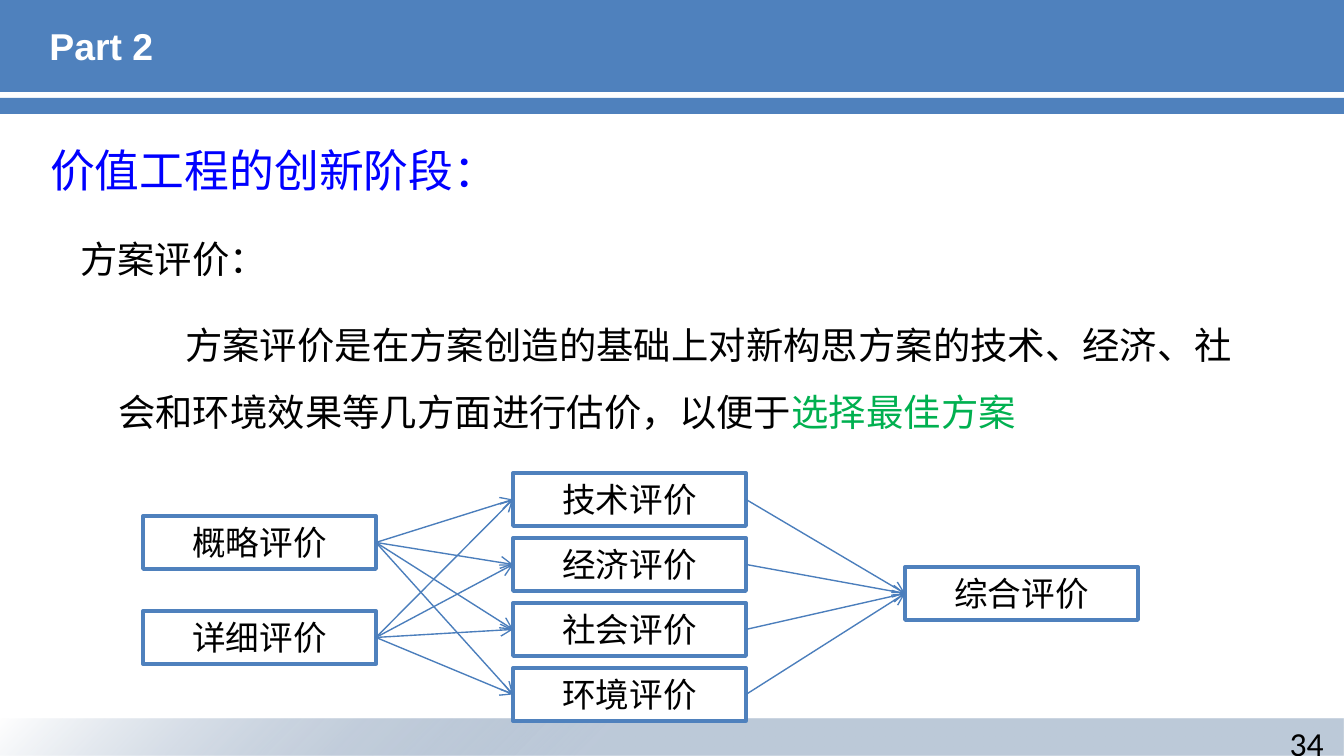
import itertools

import lxml.etree
import pptx
import pptx.dml.color
import pptx.enum.shapes
import pptx.enum.text
import pptx.oxml
import pptx.oxml.ns
import pptx.util

RGBColor = pptx.dml.color.RGBColor
Align = pptx.enum.text.PP_ALIGN
Anchor = pptx.enum.text.MSO_ANCHOR

BLUE = RGBColor(0x4F, 0x81, 0xBD)
ARROW_BLUE = RGBColor(0x4B, 0x7E, 0xBC)
NAVY = RGBColor(0x1F, 0x49, 0x7D)
HEADING_BLUE = RGBColor(0x00, 0x00, 0xFF)
GREEN = RGBColor(0x00, 0xB0, 0x50)
WHITE = RGBColor(0xFF, 0xFF, 0xFF)
BLACK = RGBColor(0x00, 0x00, 0x00)

CJK = "Noto Sans CJK SC"
EMU_PER_PX = 914400 / 134.4
LEFT_SITE, RIGHT_SITE = 1, 3
BOX_WIDTH, BOX_HEIGHT = 233, 53


def px(*lengths):
    return [pptx.util.Emu(round(length * EMU_PER_PX)) for length in lengths]


def write(paragraph, text, size=20, font=CJK, color=BLACK, bold=False, align=None):
    run = paragraph.add_run()
    run.text = text
    run.font.size = pptx.util.Pt(size)
    run.font.name = font
    run.font.bold = bold
    run.font.color.rgb = color
    east_asian = lxml.etree.SubElement(run.font._element, pptx.oxml.ns.qn("a:ea"))
    east_asian.set("typeface", CJK)
    if align is not None:
        paragraph.alignment = align


class SlideBuilder:
    """Holds the diagram style and the slide being built."""

    def __init__(self, slide, line_color=BLUE, line_width=2, arrow_width=0.75):
        self.slide = slide
        self.line_color = line_color
        self.line_width = line_width
        self.arrow_width = arrow_width

    def band(self, left, top, width, height, color=BLUE):
        shape = self.slide.shapes.add_shape(
            pptx.enum.shapes.MSO_SHAPE.RECTANGLE, *px(left, top, width, height))
        shape.shadow.inherit = False
        shape.fill.solid()
        shape.fill.fore_color.rgb = color
        shape.line.fill.background()
        return shape

    def fading_band(self, left, top, width, height):
        shape = self.band(left, top, width, height)
        stops = "".join(
            f'<a:gs pos="{position}000"><a:srgbClr val="{color}">'
            f'<a:alpha val="{alpha}000"/></a:srgbClr></a:gs>'
            for position, color, alpha in ((55, NAVY, 29), (100, WHITE, 69)))
        gradient = pptx.oxml.parse_xml(
            f'<a:gradFill {pptx.oxml.ns.nsdecls("a")} rotWithShape="1">'
            f'<a:gsLst>{stops}</a:gsLst><a:path path="circle">'
            '<a:fillToRect l="100000" t="100000"/></a:path></a:gradFill>')
        solid = shape.element.spPr.find(pptx.oxml.ns.qn("a:solidFill"))
        solid.getparent().replace(solid, gradient)

    def title(self, text, left, top, width, height):
        shape = self.slide.shapes.title
        shape.left, shape.top, shape.width, shape.height = px(left, top, width, height)
        shape.element.getparent().append(shape.element)
        shape.text_frame.auto_size = pptx.enum.text.MSO_AUTO_SIZE.NONE
        shape.text_frame.vertical_anchor = Anchor.MIDDLE
        write(shape.text_frame.paragraphs[0], text, font="Arial",
              color=WHITE, bold=True, align=Align.LEFT)

    def text(self, text, left, top, width, height, wrap=True, **style):
        shape = self.slide.shapes.add_textbox(*px(left, top, width, height))
        shape.text_frame.word_wrap = wrap
        paragraph = shape.text_frame.paragraphs[0]
        write(paragraph, text, **style)
        return paragraph

    def box(self, text, left, top):
        shape = self.band(left, top, BOX_WIDTH, BOX_HEIGHT, WHITE)
        shape.line.color.rgb = self.line_color
        shape.line.width = pptx.util.Pt(self.line_width)
        shape.text_frame.vertical_anchor = Anchor.MIDDLE
        write(shape.text_frame.paragraphs[0], text, size=18, font="Calibri",
              align=Align.CENTER)
        return shape

    def column(self, labels, left, top, pitch):
        return [self.box(label, left, top + row * pitch)
                for row, label in enumerate(labels)]

    def arrow(self, source, target):
        connector = self.slide.shapes.add_connector(
            pptx.enum.shapes.MSO_CONNECTOR.STRAIGHT, 0, 0, 0, 0)
        connector.begin_connect(source, RIGHT_SITE)
        connector.end_connect(target, LEFT_SITE)
        connector.line.color.rgb = ARROW_BLUE
        connector.line.width = pptx.util.Pt(self.arrow_width)
        line = connector.line._get_or_add_ln()
        lxml.etree.SubElement(line, pptx.oxml.ns.qn("a:tailEnd")).set("type", "arrow")
        lxml.etree.SubElement(connector.element.spPr, pptx.oxml.ns.qn("a:effectLst"))


def main():
    presentation = pptx.Presentation()
    presentation.slide_width, presentation.slide_height = px(1344, 756)
    slide = presentation.slides.add_slide(presentation.slide_layouts[5])
    builder = SlideBuilder(slide)

    builder.band(0, -1, 1344, 93)
    builder.title("Part 2", 36, 3, 1270, 86)
    builder.fading_band(0, 719, 1343, 37)
    builder.band(-1, 98, 1345, 16)
    builder.text("34", 1024, 716, 313, 40, size=18, font="Calibri", align=Align.RIGHT)

    builder.text("价值工程的创新阶段：", 37, 136, 773, 67, size=24, color=HEADING_BLUE)
    builder.text("方案评价：", 67, 230, 215, 59, wrap=False)
    description = builder.text(
        "方案评价是在方案创造的基础上对新构思方案的技术、经济、社会和环境效果等几方面进行估价，以便于",
        105, 293, 1175, 149)
    write(description, "选择最佳方案", color=GREEN)
    description.line_spacing = 1.5
    properties = description._p.get_or_add_pPr()
    properties.set("marL", "0")
    properties.set("indent", str(px(67)[0]))

    stages = builder.column(["概略评价", "详细评价"], 143, 516, 95)
    aspects = builder.column(
        ["技术评价", "经济评价", "社会评价", "环境评价"], 513, 473, 65)
    overall = builder.column(["综合评价"], 905, 567, 0)
    for sources, targets in ((stages, aspects), (aspects, overall)):
        for source, target in itertools.product(sources, targets):
            builder.arrow(source, target)

    presentation.save("out.pptx")


if __name__ == "__main__":
    main()
